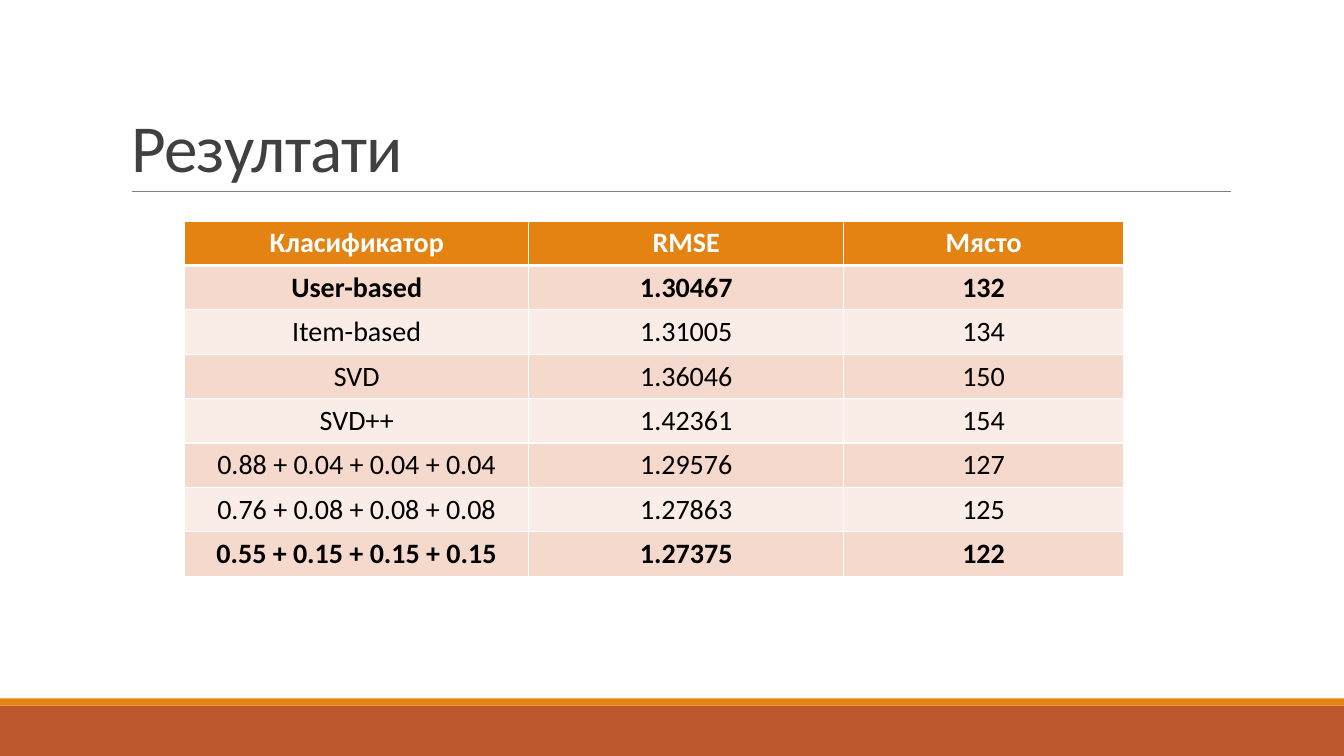
from dataclasses import dataclass

from lxml.etree import SubElement
from pptx import Presentation
from pptx.dml.color import RGBColor
from pptx.enum.shapes import MSO_CONNECTOR as Connector, MSO_SHAPE as Shape
from pptx.enum.text import MSO_ANCHOR as Anchor, MSO_AUTO_SIZE as AutoSize, PP_ALIGN as Align
from pptx.oxml.ns import qn
from pptx.slide import Slide
from pptx.table import _Cell as Cell
from pptx.text.text import TextFrame
from pptx.util import Pt

WHITE = RGBColor(0xFF, 0xFF, 0xFF)
BLACK = RGBColor(0x00, 0x00, 0x00)
DARK_GREY = RGBColor(0x40, 0x40, 0x40)
GREY = RGBColor(0x80, 0x80, 0x80)
ORANGE = RGBColor(0xE4, 0x83, 0x12)
RUST = RGBColor(0xBD, 0x58, 0x2C)
ROW_FILLS = (RGBColor(0xF5, 0xD9, 0xCC), RGBColor(0xFA, 0xED, 0xE7))

SLIDE_WIDTH, SLIDE_HEIGHT = 960, 540
TABLE_LEFT, TABLE_TOP, ROW_HEIGHT = 132, 157.9, 31.7
COLUMN_WIDTHS = (245.6, 225.2, 199.6)


@dataclass(frozen=True)
class Band:
    top: float
    height: float
    color: RGBColor


@dataclass(frozen=True)
class Result:
    classifier: str
    rmse: str
    place: str
    bold: bool = False


BANDS = (Band(504, 36, RUST), Band(498.8, 5.2, ORANGE))
HEADER = Result("Класификатор", "RMSE", "Място", bold=True)
RESULTS = (
    Result("User-based", "1.30467", "132", bold=True),
    Result("Item-based", "1.31005", "134"),
    Result("SVD", "1.36046", "150"),
    Result("SVD++", "1.42361", "154"),
    Result("0.88 + 0.04 + 0.04 + 0.04", "1.29576", "127"),
    Result("0.76 + 0.08 + 0.08 + 0.08", "1.27863", "125"),
    Result("0.55 + 0.15 + 0.15 + 0.15", "1.27375", "122", bold=True),
)


def write_text(frame: TextFrame, text: str, *, size: float, color: RGBColor,
               bold: bool = False, align: Align = Align.LEFT,
               line_spacing: float = 1.0, letter_spacing: float = 0) -> None:
    paragraph = frame.paragraphs[0]
    paragraph.alignment = align
    paragraph.line_spacing = line_spacing
    run = paragraph.add_run()
    run.text = text
    run.font.name = "Calibri"
    run.font.size = Pt(size)
    run.font.bold = bold
    run.font.color.rgb = color
    if letter_spacing:
        run._r.get_or_add_rPr().set("spc", str(round(letter_spacing * 100)))


def add_band(slide: Slide, band: Band) -> None:
    shape = slide.shapes.add_shape(
        Shape.RECTANGLE, Pt(0), Pt(band.top), Pt(SLIDE_WIDTH), Pt(band.height))
    shape.shadow.inherit = False
    shape.fill.solid()
    shape.fill.fore_color.rgb = band.color
    shape.line.fill.background()


def add_title_rule(slide: Slide) -> None:
    rule = slide.shapes.add_connector(
        Connector.STRAIGHT, Pt(94.3), Pt(136.8), Pt(879), Pt(136.8))
    rule.line.color.rgb = GREY
    rule.line.width = Pt(0.5)
    SubElement(rule._element.spPr, qn("a:effectLst"))


def set_title(slide: Slide, text: str) -> None:
    title = slide.shapes.title
    title.left, title.top, title.width, title.height = Pt(86.4), Pt(22.3), Pt(792), Pt(114.5)
    frame = title.text_frame
    frame.word_wrap = True
    frame.auto_size = AutoSize.NONE
    frame.vertical_anchor = Anchor.BOTTOM
    write_text(frame, text, size=48, color=DARK_GREY, line_spacing=0.85, letter_spacing=-0.5)


def set_borders(cell: Cell, **widths: float) -> None:
    """Draw white borders; the keywords are the XML sides in schema order."""
    properties = cell._tc.get_or_add_tcPr()
    for side, width in widths.items():
        line = SubElement(properties, qn(f"a:{side}"), w=str(Pt(width)))
        fill = SubElement(line, qn("a:solidFill"))
        SubElement(fill, qn("a:srgbClr"), val=str(WHITE))


def add_results_table(slide: Slide) -> None:
    rows = (HEADER, *RESULTS)
    table = slide.shapes.add_table(
        len(rows), len(COLUMN_WIDTHS), Pt(TABLE_LEFT), Pt(TABLE_TOP),
        Pt(sum(COLUMN_WIDTHS)), Pt(ROW_HEIGHT * len(rows))).table
    for column, width in zip(table.columns, COLUMN_WIDTHS):
        column.width = Pt(width)
    for index, result in enumerate(rows):
        table.rows[index].height = Pt(ROW_HEIGHT)
        is_header = index == 0
        fill = ORANGE if is_header else ROW_FILLS[(index - 1) % 2]
        values = (result.classifier, result.rmse, result.place)
        for cell, value in zip(table.rows[index].cells, values):
            set_borders(cell, lnL=1, lnR=1, lnT=3 if index == 1 else 1,
                        lnB=3 if is_header else 1)
            cell.fill.solid()
            cell.fill.fore_color.rgb = fill
            write_text(cell.text_frame, value, size=20, bold=result.bold,
                       color=WHITE if is_header else BLACK, align=Align.CENTER)


def main() -> None:
    presentation = Presentation()
    presentation.slide_width = Pt(SLIDE_WIDTH)
    presentation.slide_height = Pt(SLIDE_HEIGHT)
    slide = presentation.slides.add_slide(presentation.slide_layouts.get_by_name("Title Only"))
    slide.background.fill.solid()
    slide.background.fill.fore_color.rgb = WHITE
    for band in BANDS:
        add_band(slide, band)
    add_title_rule(slide)
    set_title(slide, "Резултати")
    add_results_table(slide)
    presentation.save("out.pptx")


if __name__ == "__main__":
    main()
